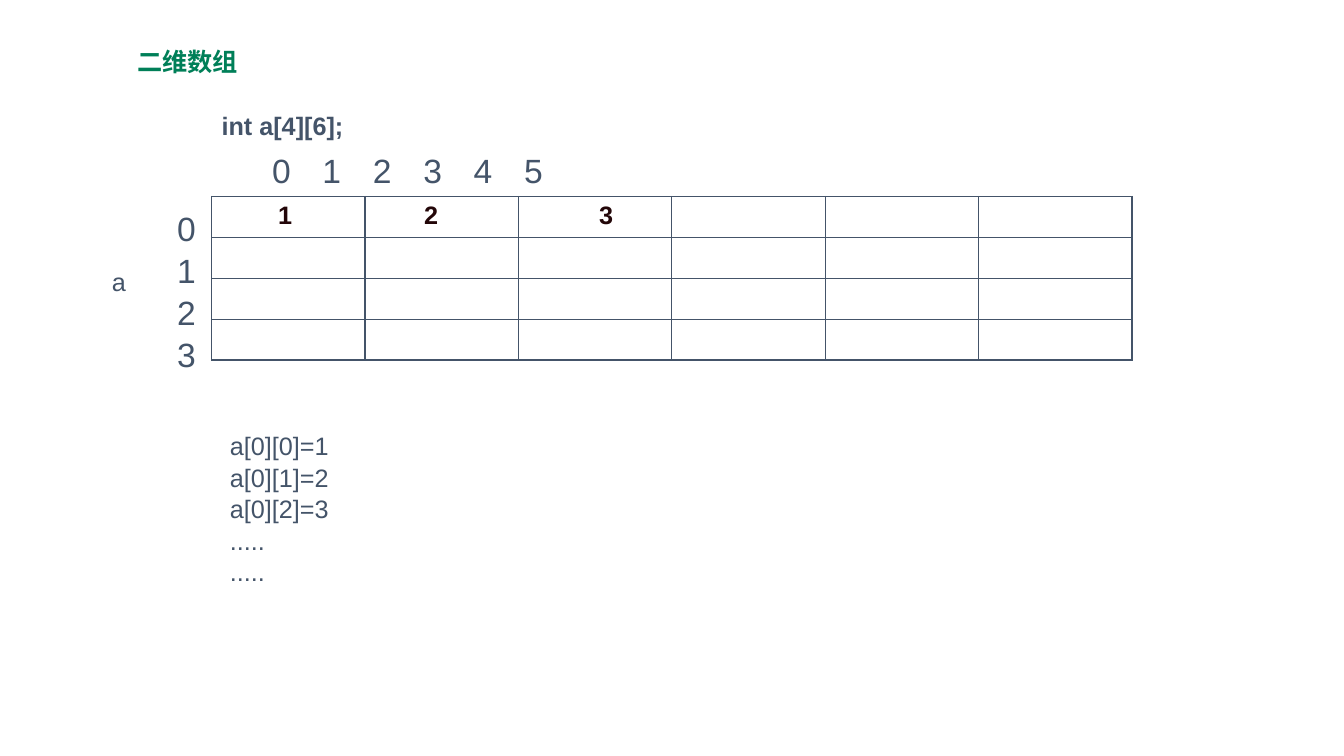
from dataclasses import dataclass

from lxml.etree import SubElement
from pptx import Presentation
from pptx.dml.color import RGBColor
from pptx.enum.text import MSO_ANCHOR, MSO_AUTO_SIZE, PP_ALIGN
from pptx.oxml.ns import qn
from pptx.util import Inches, Pt


@dataclass(frozen=True)
class Theme:
    green: str = "007F58"
    slate: str = "445469"
    dark: str = "230608"
    white: str = "FFFFFF"
    latin: str = "Arial"
    cjk: str = "Noto Sans CJK SC"
    body: int = 18
    index: int = 24
    border: int = 1


@dataclass(frozen=True)
class Style:
    size: int
    color: str
    bold: bool = False
    font: str = "Arial"
    gap: float = 0


@dataclass(frozen=True)
class Box:
    left: float
    top: float
    width: float
    height: float


@dataclass(frozen=True)
class Label:
    box: Box
    lines: tuple[str, ...]
    style: Style
    tabs: tuple[float, ...] = ()


THEME = Theme()
WIDTH, HEIGHT = Inches(13.33), Inches(7.5)
ROWS, COLS = 4, 6
HEADING = Style(THEME.body, THEME.green, True, THEME.cjk)
CODE = Style(THEME.body, THEME.slate, True)
PLAIN = Style(THEME.body, THEME.slate, gap=0.9)
INDEX = Style(THEME.index, THEME.slate, gap=1.2)
VALUE = Style(THEME.body, THEME.dark, True)

TITLE = Label(Box(9.45, 5.47, 12, 5.33), ("二维数组",), HEADING)
ASSIGNMENTS = Label(
    Box(16.35, 56.27, 45.61, 21.47),
    ("a[0][0]=1", "a[0][1]=2", "a[0][2]=3", ".....", "....."),
    PLAIN,
)
GRID = Box(15.75, 26, 68.49, 21.47)
LABELS = (
    Label(Box(15.75, 13.87, 14.25, 5.33), ("int a[4][6];",), CODE),
    Label(Box(7.58, 34.53, 1.88, 5.33), ("a",), PLAIN),
    Label(Box(12.45, 26.8, 1.8, 26.93), tuple(map(str, range(ROWS))), INDEX),
    Label(
        Box(15.75, 19.2, 68.49, 6.67),
        ("".join(f"\t{col}" for col in range(COLS)),),
        INDEX,
        (3.45, 15.3, 27.76, 38.86, 49.96, 61.07),
    ),
)
VALUES = (("1", 4.95), ("2", 4.4), ("3", 6))


def across(share: float) -> int:
    return round(WIDTH * share / 100)


def down(share: float) -> int:
    return round(HEIGHT * share / 100)


def place(box: Box) -> tuple[int, int, int, int]:
    return across(box.left), down(box.top), across(box.width), down(box.height)


def add_run(p, text: str, style: Style) -> None:
    r = p.add_run()
    r.text = text
    r.font.size = Pt(style.size)
    r.font.bold = style.bold
    r.font.name = style.font
    r.font.color.rgb = RGBColor.from_string(style.color)
    SubElement(r._r.get_or_add_rPr(), qn("a:ea")).set("typeface", style.font)


def write(sp, label: Label) -> None:
    sp.left, sp.top, sp.width, sp.height = place(label.box)
    tf = sp.text_frame
    tf.auto_size = MSO_AUTO_SIZE.NONE
    tf.word_wrap = True
    tf.vertical_anchor = MSO_ANCHOR.TOP
    for i, line in enumerate(label.lines):
        p = tf.add_paragraph() if i else tf.paragraphs[0]
        p.alignment = PP_ALIGN.LEFT
        p.space_before = Pt(0)
        p.space_after = Pt(label.style.gap)
        pPr = p._p.get_or_add_pPr()
        pPr.set("marL", "0")
        pPr.set("indent", "0")
        SubElement(pPr, qn("a:buNone"))
        if label.tabs:
            tabs = SubElement(pPr, qn("a:tabLst"))
            for stop in label.tabs:
                tab = SubElement(tabs, qn("a:tab"))
                tab.set("pos", str(across(stop)))
                tab.set("algn", "l")
        add_run(p, line, label.style)


def style_cell(cell) -> None:
    tcPr = cell._tc.get_or_add_tcPr()
    for side in ("a:lnL", "a:lnR", "a:lnT", "a:lnB"):
        ln = SubElement(tcPr, qn(side))
        ln.set("w", str(Pt(THEME.border)))
        fill = SubElement(ln, qn("a:solidFill"))
        SubElement(fill, qn("a:srgbClr")).set("val", THEME.slate)
    cell.fill.solid()
    cell.fill.fore_color.rgb = RGBColor.from_string(THEME.white)


def add_grid(s) -> None:
    table = s.shapes.add_table(ROWS, COLS, *place(GRID)).table
    table.first_row = table.horz_banding = False
    for col in table.columns:
        col.width = across(GRID.width / COLS)
    for row in table.rows:
        row.height = down(GRID.height / ROWS)
    for cell in table.iter_cells():
        style_cell(cell)
    for col, (text, indent) in enumerate(VALUES):
        cell = table.cell(0, col)
        cell.margin_left = across(indent)
        add_run(cell.text_frame.paragraphs[0], text, VALUE)


def main() -> None:
    prs = Presentation()
    prs.slide_width, prs.slide_height = WIDTH, HEIGHT
    s = prs.slides.add_slide(prs.slide_layouts[1])
    write(s.shapes.title, TITLE)
    s.shapes.title.text_frame.vertical_anchor = MSO_ANCHOR.MIDDLE
    write(s.placeholders[1], ASSIGNMENTS)
    add_grid(s)
    for label in LABELS:
        write(s.shapes.add_textbox(*place(label.box)), label)
    prs.save("out.pptx")


if __name__ == "__main__":
    main()
